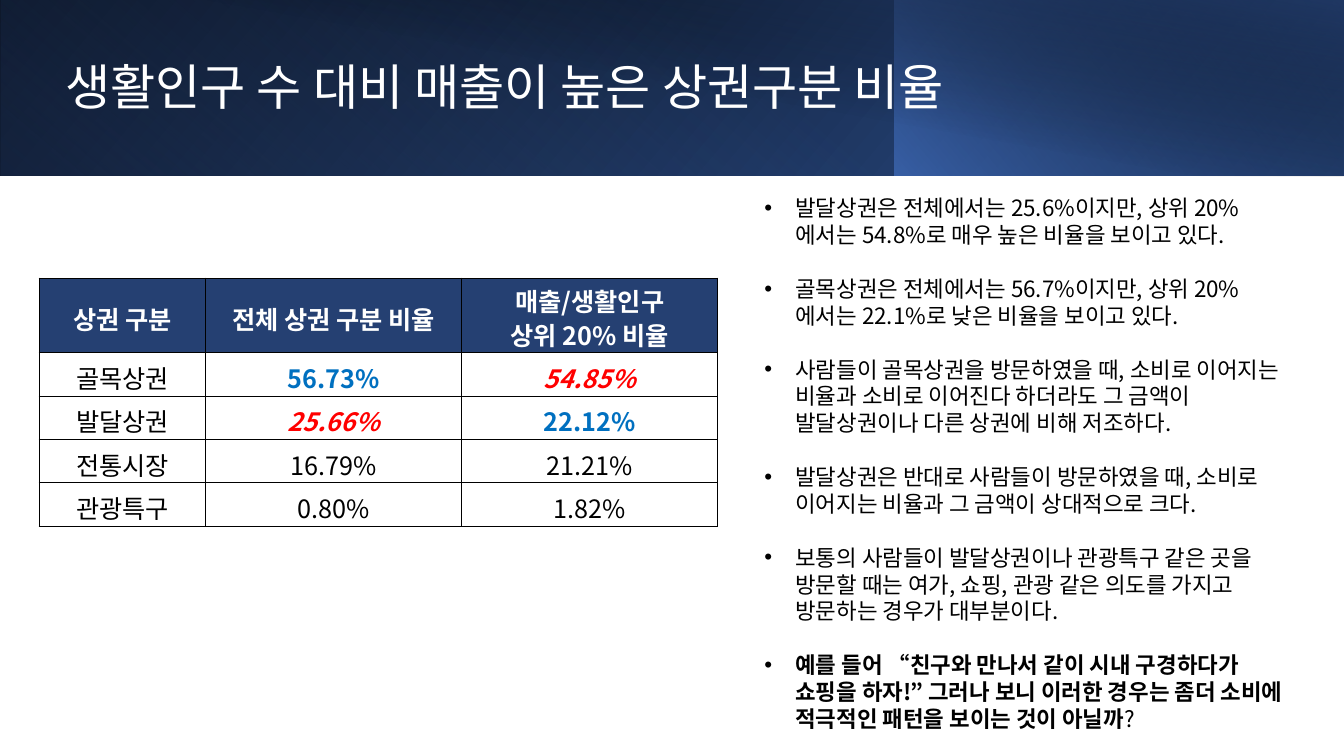
from dataclasses import dataclass

from lxml import etree
from pptx import Presentation
from pptx.dml.color import RGBColor
from pptx.enum.shapes import MSO_SHAPE
from pptx.enum.text import MSO_ANCHOR, MSO_AUTO_SIZE, PP_ALIGN
from pptx.oxml.ns import qn
from pptx.util import Inches, Pt

RECTANGLE = MSO_SHAPE.RECTANGLE
MIDDLE, TOP = MSO_ANCHOR.MIDDLE, MSO_ANCHOR.TOP
LEFT, CENTER = PP_ALIGN.LEFT, PP_ALIGN.CENTER
NO_AUTOFIT = MSO_AUTO_SIZE.NONE


@dataclass(frozen=True)
class Theme:
    font: str = "Noto Sans CJK KR"
    white: str = "FFFFFF"
    black: str = "000000"
    header: str = "254072"
    blue: str = "0070C0"
    red: str = "FF0000"
    band_blue: str = "2F5597"
    band_light: str = "4472C4"
    band_navy: str = "203864"
    title_size: float = 35.1
    table_size: float = 18
    body_size: float = 16
    body_line: float = 19.2
    header_line: float = 24.4


THEME = Theme()

# Left, width, height, rotation, flipped, angle, stops (position, colour, opacity)
BANDS = [
    (0, 13.33, 1.74, 0, True, 140,
     [(0, THEME.black, 100), (100, THEME.band_blue, 100)]),
    (0, 8.88, 1.74, 180, True, 230,
     [(20, THEME.band_light, 0), (100, THEME.band_navy, 55)]),
    (8.87, 4.46, 1.74, 0, True, 220,
     [(0, THEME.band_light, 66), (100, THEME.black, 30)]),
    (0.5, 12.83, 1.75, 0, False, 280,
     [(50, THEME.black, 0), (99, THEME.band_navy, 52)]),
]

TITLE = "생활인구 수 대비 매출이 높은 상권구분 비율"
FINDINGS = [
    "발달상권은 전체에서는 25.6%이지만, 상위 20%에서는 54.8%로 매우 높은 비율을 보이고 있다.",
    "골목상권은 전체에서는 56.7%이지만, 상위 20%에서는 22.1%로 낮은 비율을 보이고 있다.",
    "사람들이 골목상권을 방문하였을 때, 소비로 이어지는 비율과 소비로 이어진다 하더라도 "
    "그 금액이 발달상권이나 다른 상권에 비해 저조하다.",
    "발달상권은 반대로 사람들이 방문하였을 때, 소비로 이어지는 비율과 그 금액이 상대적으로 크다.",
    "보통의 사람들이 발달상권이나 관광특구 같은 곳을 방문할 때는 여가, 쇼핑, 관광 같은 "
    "의도를 가지고 방문하는 경우가 대부분이다.",
]
CONCLUSION = ("예를 들어 “친구와 만나서 같이 시내 구경하다가 쇼핑을 하자!” 그러나 보니 "
              "이러한 경우는 좀더 소비에 적극적인 패턴을 보이는 것이 아닐까")

COLUMN_WIDTHS = [1.65, 2.54, 2.54]
ROW_HEIGHTS = [0.74] + [0.43] * 4
RATIOS = [
    ["상권 구분", "전체 상권 구분 비율", "매출/생활인구\n상위 20% 비율"],
    ["골목상권", "56.73%", "54.85%"],
    ["발달상권", "25.66%", "22.12%"],
    ["전통시장", "16.79%", "21.21%"],
    ["관광특구", "0.80%", "1.82%"],
]
BLUE_BOLD = {"color": THEME.blue, "bold": True}
RED_BOLD = {"color": THEME.red, "bold": True, "italic": True}
EMPHASIS = {(1, 1): BLUE_BOLD, (1, 2): RED_BOLD,
            (2, 1): RED_BOLD, (2, 2): BLUE_BOLD}


def write(para, text, size, color=THEME.black, bold=False, italic=False,
          align=LEFT, line=None, before=0):
    """Add a formatted run to a paragraph."""
    para.alignment = align
    para.space_before = Pt(before)
    if line:
        para.line_spacing = line
    span = para.add_run()
    span.text = text
    font = span.font
    font.size, font.bold, font.italic = Pt(size), bold, italic
    font.color.rgb = RGBColor.from_string(color)
    font.name = THEME.font
    etree.SubElement(font._element, qn("a:ea"), typeface=THEME.font)


def add_bullet(para):
    properties = para._p.get_or_add_pPr()
    properties.set("marL", str(Inches(0.31)))
    properties.set("indent", str(-Inches(0.31)))
    etree.SubElement(properties, qn("a:buFont"), typeface="Arial")
    etree.SubElement(properties, qn("a:buChar"), char="•")


def place(box, left, top, width, height, anchor):
    box.left, box.top = Inches(left), Inches(top)
    box.width, box.height = Inches(width), Inches(height)
    frame = box.text_frame
    frame.word_wrap = True
    frame.auto_size = NO_AUTOFIT
    frame.vertical_anchor = anchor
    return frame


def add_band(page, left, width, height, rotation, flipped, angle, stops):
    """Add a gradient band behind the title."""
    band = page.shapes.add_shape(RECTANGLE, Inches(left), 0,
                                 Inches(width), Inches(height))
    band.shadow.inherit = False
    band.line.fill.background()
    band.rotation = rotation
    if flipped:
        band._element.spPr.find(qn("a:xfrm")).set("flipH", "1")
    band.fill.gradient()
    gradient = band._element.spPr.find(qn("a:gradFill"))
    stop_list = gradient.find(qn("a:gsLst"))
    for stop in list(stop_list):
        stop_list.remove(stop)
    for position, color, opacity in stops:
        stop = etree.SubElement(stop_list, qn("a:gs"), pos=str(position * 1000))
        tint = etree.SubElement(stop, qn("a:srgbClr"), val=color)
        if opacity < 100:
            etree.SubElement(tint, qn("a:alpha"), val=str(opacity * 1000))
    direction = gradient.find(qn("a:lin"))
    direction.set("ang", str(angle * 60000))
    direction.set("scaled", "0")
    page.shapes.title._element.addprevious(band._element)


def add_findings(box):
    frame = place(box, 7.48, 1.88, 5.49, 5.49, TOP)
    for index, text in enumerate(FINDINGS + [CONCLUSION]):
        para = frame.paragraphs[0] if index == 0 else frame.add_paragraph()
        add_bullet(para)
        layout = {"size": THEME.body_size, "line": Pt(THEME.body_line),
                  "before": THEME.body_line if index else 0}
        write(para, text, bold=text == CONCLUSION, **layout)
        if text == CONCLUSION:
            write(para, "?", **layout)


def add_borders(cell):
    properties = cell._tc.get_or_add_tcPr()
    for side in ("a:lnL", "a:lnR", "a:lnT", "a:lnB"):
        border = etree.SubElement(properties, qn(side), w=str(Pt(1)))
        fill = etree.SubElement(border, qn("a:solidFill"))
        etree.SubElement(fill, qn("a:srgbClr"), val=THEME.black)


def fill_cell(cell, text, background, **style):
    cell.margin_top, cell.margin_bottom = Inches(0.06), 0
    cell.vertical_anchor = MIDDLE
    add_borders(cell)
    cell.fill.solid()
    cell.fill.fore_color.rgb = RGBColor.from_string(background)
    lines = text.split("\n")
    spacing = Pt(THEME.header_line) if len(lines) > 1 else None
    for index, line in enumerate(lines):
        frame = cell.text_frame
        para = frame.paragraphs[0] if index == 0 else frame.add_paragraph()
        write(para, line, THEME.table_size, align=CENTER, line=spacing, **style)


def add_ratio_table(page):
    table = page.shapes.add_table(
        len(RATIOS), len(COLUMN_WIDTHS), Inches(0.39), Inches(2.76),
        Inches(sum(COLUMN_WIDTHS)), Inches(sum(ROW_HEIGHTS))).table
    table.horz_banding = False
    for column, width in zip(table.columns, COLUMN_WIDTHS):
        column.width = Inches(width)
    for row, height in zip(table.rows, ROW_HEIGHTS):
        row.height = Inches(height)
    for row, texts in enumerate(RATIOS):
        for column, text in enumerate(texts):
            background = THEME.white if row else THEME.header
            style = (EMPHASIS.get((row, column), {}) if row
                     else {"color": THEME.white, "bold": True})
            fill_cell(table.cell(row, column), text, background, **style)


def main():
    deck = Presentation()
    deck.slide_width, deck.slide_height = Inches(13.33), Inches(7.5)
    page = deck.slides.add_slide(deck.slide_layouts[1])

    # Header
    for band in BANDS:
        add_band(page, *band)
    title = place(page.shapes.title, 0.55, 0.32, 12.04, 1.13, MIDDLE)
    write(title.paragraphs[0], TITLE, THEME.title_size, THEME.white, line=0.9)

    # Findings and table
    add_findings(page.placeholders[1])
    add_ratio_table(page)
    deck.save("out.pptx")


if __name__ == "__main__":
    main()
